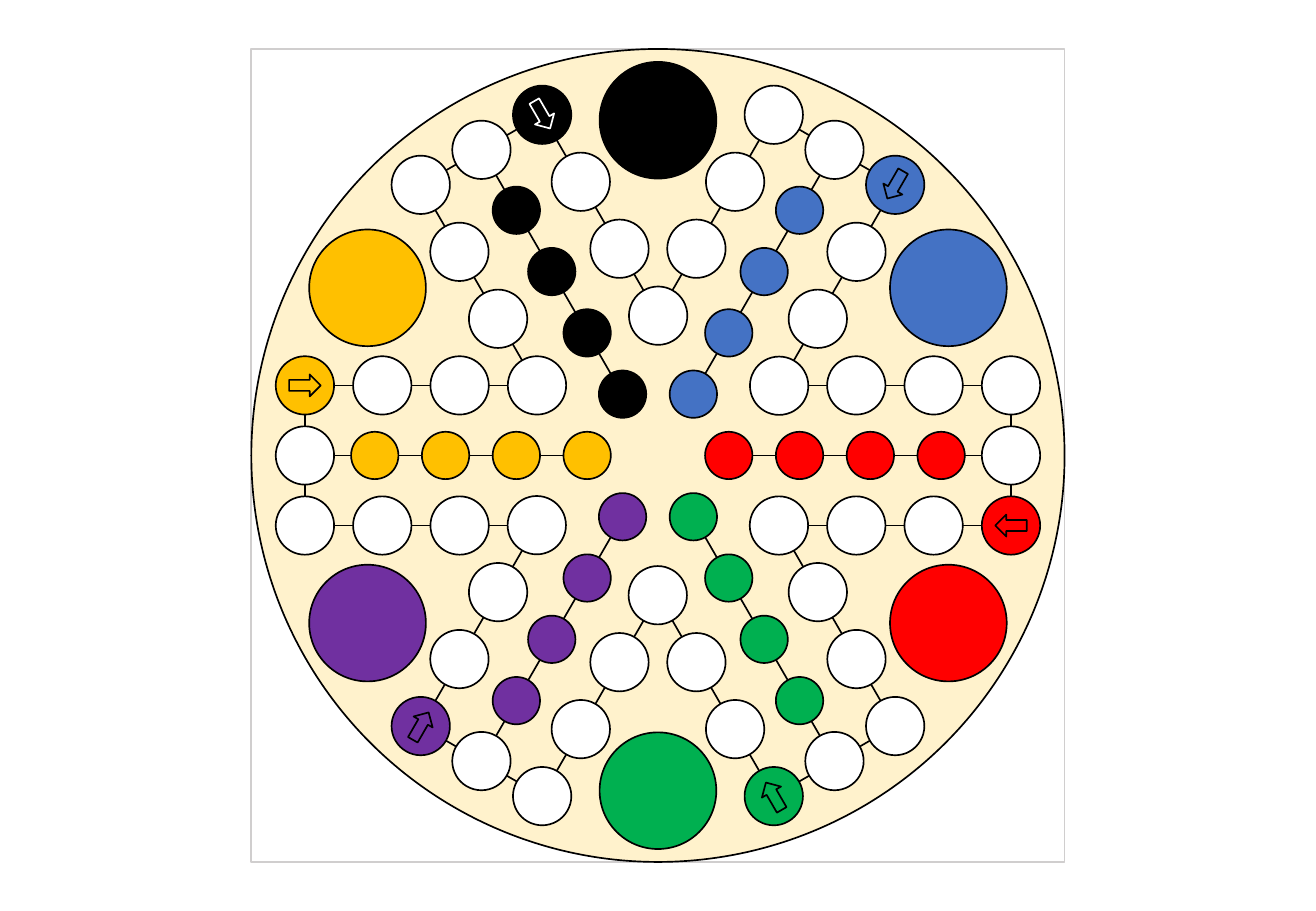
from dataclasses import dataclass
from math import cos, radians, sin

from lxml import etree
from pptx import Presentation
from pptx.dml.color import RGBColor
from pptx.enum.shapes import MSO_CONNECTOR, MSO_SHAPE
from pptx.oxml.ns import qn
from pptx.util import Cm, Pt

RECT = MSO_SHAPE.RECTANGLE
OVAL = MSO_SHAPE.OVAL
ARROW = MSO_SHAPE.RIGHT_ARROW
STRAIGHT = MSO_CONNECTOR.STRAIGHT


@dataclass(frozen=True)
class Theme:
    """Colours and line weight of the board."""
    ink: str = "000000"
    white: str = "FFFFFF"
    frame: str = "D0CECE"
    board: str = "FFF2CC"
    teams: tuple = ("FF0000", "00B050", "7030A0", "FFC000", "000000", "4472C4")
    weight: float = 1


THEME = Theme()

# All lengths in centimetres
WIDTH, HEIGHT = 27.51, 19.05
MID = (WIDTH / 2, HEIGHT / 2)
BOARD = 17
SPACE, HOME, NEST = 1.22, 0.99, 2.44
ARROW_W, ARROW_H = 0.66, 0.46
RIM = 7.38          # outermost spaces, measured from the middle
STEP = 1.617        # between spaces in an outer row
HOME_STEP = 1.48    # between home spaces
SIDE = 1.465        # between the rows of an arm
NEST_DIST = 7.01
TURN = 60           # between arms


def spot(angle, out, side=0):
    """Return the point that lies out along an arm and to its side."""
    turn = radians(angle)
    return (MID[0] + out * cos(turn) - side * sin(turn),
            MID[1] + out * sin(turn) + side * cos(turn))


def set_line(item, colour):
    """Give a shape or connector its outline."""
    item.line.color.rgb = RGBColor.from_string(colour)
    item.line.width = Pt(THEME.weight)


def add_form(shapes, kind, point, size, fill=None, line=THEME.ink, turn=0):
    """Add a preset shape centred on a point."""
    (x, y), (w, h) = point, size
    form = shapes.add_shape(kind, Cm(x - w / 2), Cm(y - h / 2), Cm(w), Cm(h))
    form.shadow.inherit = False
    form.rotation = turn % 360
    if fill:
        form.fill.solid()
        form.fill.fore_color.rgb = RGBColor.from_string(fill)
    else:
        form.fill.background()
    set_line(form, line)


def add_disc(shapes, point, size, fill):
    """Add a round space."""
    add_form(shapes, OVAL, point, (size, size), fill)


def add_link(shapes, start, end):
    """Add a straight line between two points."""
    link = shapes.add_connector(STRAIGHT, *map(Cm, start + end))
    set_line(link, THEME.ink)
    etree.SubElement(link._element.spPr, qn("a:effectLst"))


def add_links(shapes, angle):
    """Join the spaces of one arm, from edge to edge."""
    edge = SPACE / 2
    last = RIM - 3 * STEP + edge
    for side, end in ((-SIDE, last), (SIDE, last), (0, HOME_STEP + HOME / 2)):
        add_link(shapes, spot(angle, RIM - edge, side), spot(angle, end, side))
    add_link(shapes, spot(angle, RIM, SIDE - edge),
             spot(angle, RIM, edge - SIDE))


def add_arm(shapes, angle, colour):
    """Draw one arm: links, home row, outer rows and the start arrow."""
    add_links(shapes, angle)
    for count in range(1, 5):
        add_disc(shapes, spot(angle, count * HOME_STEP), HOME, colour)
    add_disc(shapes, spot(angle, RIM), SPACE, THEME.white)
    # The start row holds the inner space shared with the next arm
    for side, total in ((-SIDE, 3), (SIDE, 4)):
        for count in range(total):
            fill = colour if side > 0 and count == 0 else THEME.white
            add_disc(shapes, spot(angle, RIM - count * STEP, side), SPACE, fill)
    line = THEME.white if colour == THEME.ink else THEME.ink
    add_form(shapes, ARROW, spot(angle, RIM, SIDE), (ARROW_W, ARROW_H),
             line=line, turn=angle + 180)


def main():
    """Build the board and save the deck."""
    deck = Presentation()
    deck.slide_width, deck.slide_height = Cm(WIDTH), Cm(HEIGHT)
    shapes = deck.slides.add_slide(deck.slide_layouts[6]).shapes
    add_form(shapes, RECT, MID, (BOARD, BOARD), THEME.white, THEME.frame)
    add_disc(shapes, MID, BOARD, THEME.board)
    for count, colour in enumerate(THEME.teams):
        angle = count * TURN
        add_arm(shapes.add_group_shape().shapes, angle, colour)
        add_disc(shapes, spot(angle + TURN / 2, NEST_DIST), NEST, colour)
    deck.save("out.pptx")


main()
